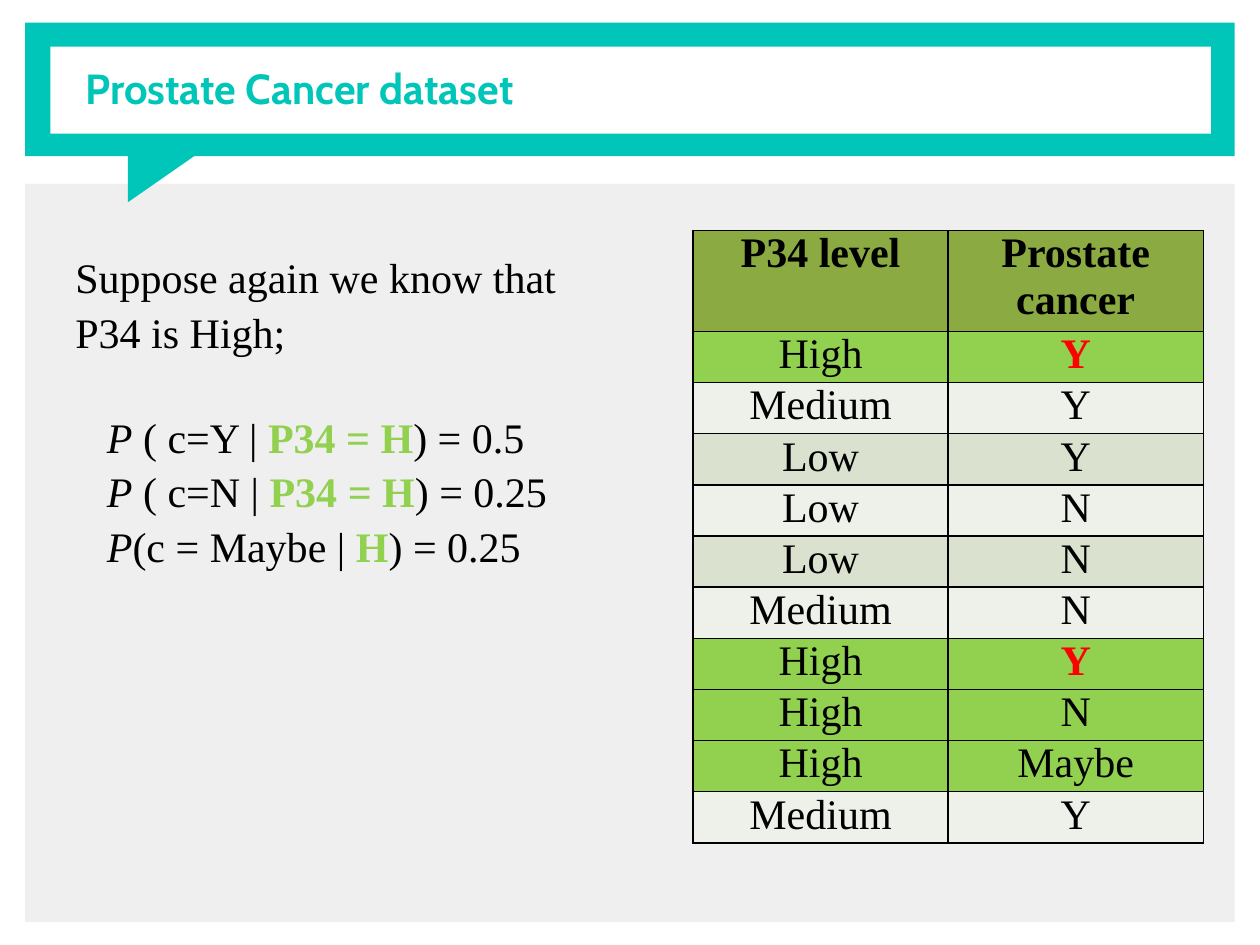
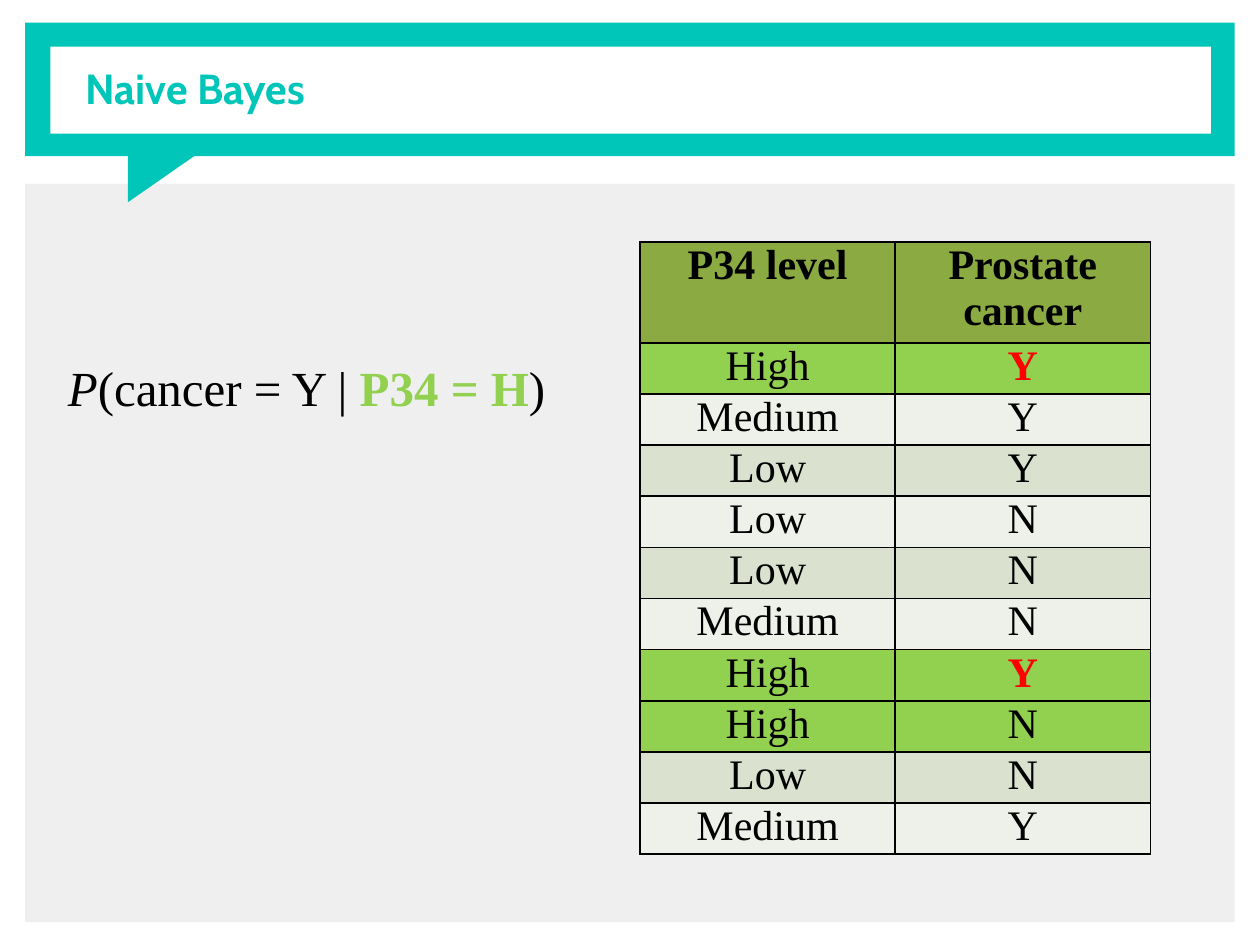
from dataclasses import dataclass

from lxml import etree
from pptx import Presentation
from pptx.dml.color import RGBColor
from pptx.enum.shapes import MSO_SHAPE
from pptx.enum.text import MSO_ANCHOR, PP_ALIGN
from pptx.oxml.ns import qn
from pptx.util import Inches, Pt

RECTANGLE = MSO_SHAPE.RECTANGLE
RIGHT_TRIANGLE = MSO_SHAPE.RIGHT_TRIANGLE
MIDDLE = MSO_ANCHOR.MIDDLE
TOP = MSO_ANCHOR.TOP
CENTER = PP_ALIGN.CENTER

WHITE = "FFFFFF"
BLACK = "000000"
TEAL = "00C5B9"
PANEL = "EFEFEF"
RED = "FF0000"
GREEN = "92D050"
HEADER_GREEN = "8BAB42"
BANDS = ("EEF1E9", "DAE2CF")

TITLE_FONT = "Cabin"
BODY_FONT = "Times New Roman"

TABLE_WIDTH = 4.05
TABLE_HEIGHT = 4.86
HEADER_HEIGHT = 0.8


@dataclass(frozen=True)
class Place:
    left: float
    top: float
    width: float
    height: float

    def lengths(self):
        return [Inches(n) for n in (self.left, self.top, self.width, self.height)]


@dataclass(frozen=True)
class Span:
    text: str
    size: float = 24
    color: str = BLACK
    bold: bool = False
    italic: bool = False
    font: str = BODY_FONT


@dataclass(frozen=True)
class Line:
    spans: tuple[Span, ...]
    before: float = 0
    indent: float = 0


@dataclass(frozen=True)
class FramePart:
    place: Place
    color: str
    shape: MSO_SHAPE = RECTANGLE
    rotation: float = 0


@dataclass(frozen=True)
class Lesson:
    title: str
    table_left: float
    table_top: float
    records: tuple[tuple[str, str], ...]
    text_place: Place
    text_inset: float
    lines: tuple[Line, ...]


FRAME = (
    FramePart(Place(0.2, 1.46, 9.6, 5.86), PANEL),
    FramePart(Place(0.2, 0.18, 9.6, 1.06), TEAL),
    FramePart(Place(1.12, 1.02, 0.48, 0.69), TEAL, RIGHT_TRIANGLE, 90),
    FramePart(Place(0.4, 0.37, 9.21, 0.69), WHITE),
)
TITLE_PLACE = Place(0.58, 0.17, 8.7, 1.06)

HEADINGS = ("P34 level", "Prostate cancer")
FIRST_RECORDS = (
    ("High", "Y"),
    ("Medium", "Y"),
    ("Low", "Y"),
    ("Low", "N"),
    ("Low", "N"),
    ("Medium", "N"),
    ("High", "Y"),
    ("High", "N"),
)
LAST_RECORD = ("Medium", "Y")


def formula(event: str, given: str, ending: str, size: float = 24,
            before: float = 0, indent: float = 0.25) -> Line:
    spans = (
        Span("P", size, italic=True),
        Span(event, size),
        Span(given, size, GREEN, bold=True),
        Span(ending, size),
    )
    return Line(spans, before, indent)


LESSONS = (
    Lesson(
        "Prostate Cancer dataset", 5.5, 1.83,
        FIRST_RECORDS + (("High", "Maybe"), LAST_RECORD),
        Place(0.5, 1.92, 4.58, 3.74), 0.08,
        (
            Line((Span("Suppose again we know that"),)),
            Line((Span("P34 is High;"),), 2.3),
            formula(" ( c=Y | ", "P34 = H", ") = 0.5", before=31.2),
            formula(" ( c=N | ", "P34 = H", ") = 0.25", before=2.3),
            formula("(c = Maybe | ", "H", ") = 0.25", before=2.3),
        ),
    ),
    Lesson(
        "Naive Bayes", 5.08, 1.92,
        FIRST_RECORDS + (("Low", "N"), LAST_RECORD),
        Place(0.25, 1.8, 4.45, 1.99), 1.04,
        (formula("(cancer = Y | ", "P34 = H", ")", size=28, indent=0.19),),
    ),
)


def rgb(color: str) -> RGBColor:
    return RGBColor.from_string(color)


def add_span(para, span: Span) -> None:
    run = para.add_run()
    run.text = span.text
    font = run.font
    font.name = span.font
    font.size = Pt(span.size)
    font.bold = span.bold
    font.italic = span.italic
    font.color.rgb = rgb(span.color)


def add_text(page, place: Place, lines: tuple[Line, ...], inset: float, anchor=TOP) -> None:
    box = page.shapes.add_textbox(*place.lengths())
    frame = box.text_frame
    frame.word_wrap = True
    frame.vertical_anchor = anchor
    frame.margin_top = Inches(inset)
    for number, line in enumerate(lines):
        para = frame.add_paragraph() if number else frame.paragraphs[0]
        if line.indent:
            para._p.get_or_add_pPr().set("marL", str(Inches(line.indent)))
        if line.before:
            para.space_before = Pt(line.before)
        for span in line.spans:
            add_span(para, span)


def add_frame(page, title: str) -> None:
    for part in FRAME:
        shape = page.shapes.add_shape(part.shape, *part.place.lengths())
        shape.shadow.inherit = False
        shape.rotation = part.rotation
        shape.fill.solid()
        shape.fill.fore_color.rgb = rgb(part.color)
        shape.line.fill.background()
    heading = Span(title, color=TEAL, bold=True, font=TITLE_FONT)
    add_text(page, TITLE_PLACE, (Line((heading,)),), 0.05, MIDDLE)


def add_borders(cell) -> None:
    properties = cell._tc.get_or_add_tcPr()
    for position, side in enumerate(("lnL", "lnR", "lnT", "lnB")):
        border = etree.Element(qn(f"a:{side}"), w=str(Pt(1)))
        fill = etree.SubElement(border, qn("a:solidFill"))
        etree.SubElement(fill, qn("a:srgbClr"), val=BLACK)
        properties.insert(position, border)


def fill_cell(cell, span: Span, color: str) -> None:
    cell.margin_left = cell.margin_right = Inches(0)
    cell.margin_top = cell.margin_bottom = Inches(0)
    cell.fill.solid()
    cell.fill.fore_color.rgb = rgb(color)
    para = cell.text_frame.paragraphs[0]
    para.alignment = CENTER
    add_span(para, span)
    add_borders(cell)


def add_records(page, lesson: Lesson) -> None:
    place = Place(lesson.table_left, lesson.table_top, TABLE_WIDTH, TABLE_HEIGHT)
    count = len(lesson.records)
    table = page.shapes.add_table(count + 1, len(HEADINGS), *place.lengths()).table
    table.first_row = False
    table.horz_banding = False
    for row in table.rows:
        row.height = Inches((TABLE_HEIGHT - HEADER_HEIGHT) / count)
    table.rows[0].height = Inches(HEADER_HEIGHT)
    for column, heading in enumerate(HEADINGS):
        fill_cell(table.cell(0, column), Span(heading, bold=True), HEADER_GREEN)
    for number, record in enumerate(lesson.records, start=1):
        high = record[0] == "High"
        color = GREEN if high else BANDS[number % 2]
        for column, value in enumerate(record):
            match = high and value == "Y"
            span = Span(value, color=RED if match else BLACK, bold=match)
            fill_cell(table.cell(number, column), span, color)


def main() -> None:
    deck = Presentation()
    deck.slide_width = Inches(10)
    deck.slide_height = Inches(7.5)
    for lesson in LESSONS:
        page = deck.slides.add_slide(deck.slide_layouts[6])
        add_frame(page, lesson.title)
        add_records(page, lesson)
        add_text(page, lesson.text_place, lesson.lines, lesson.text_inset)
    deck.save("out.pptx")


if __name__ == "__main__":
    main()
